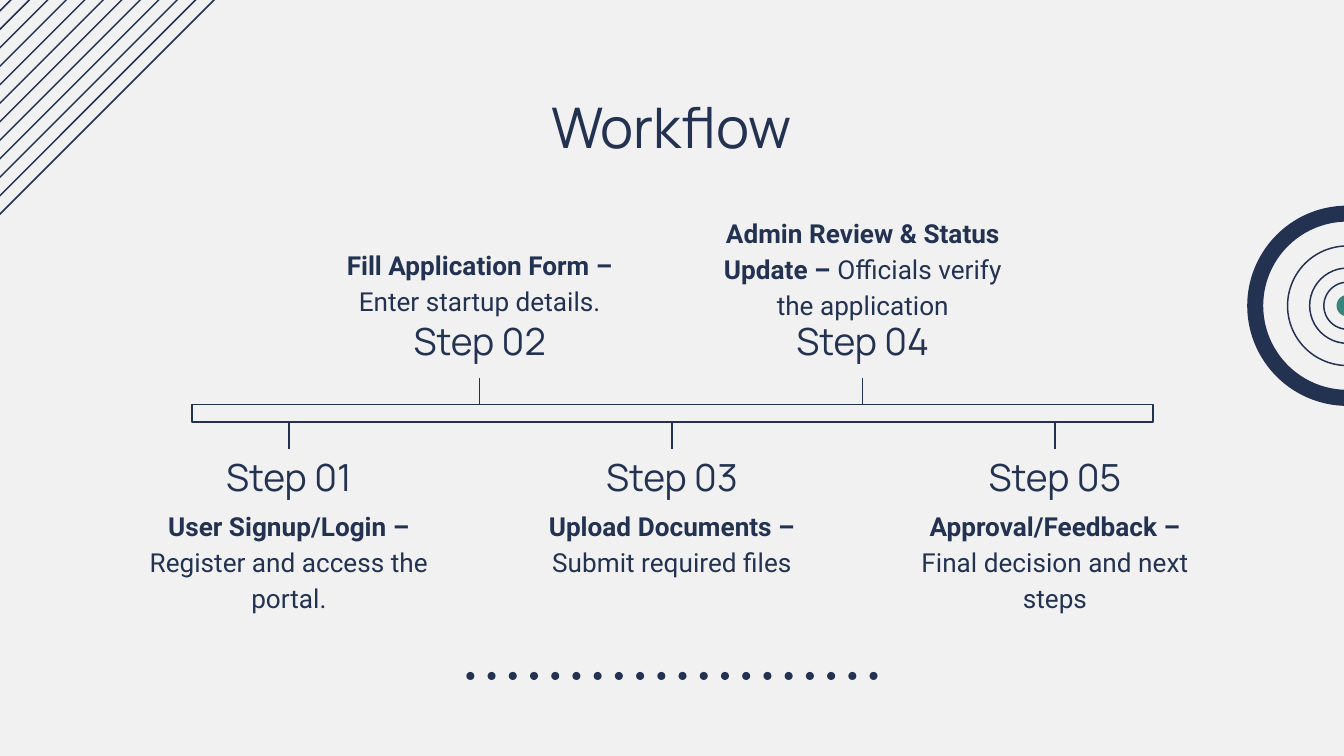
import pptx
import pptx.util
import pptx.dml.color
import pptx.enum.shapes
import pptx.enum.text
import pptx.oxml

PX = 9144  # 100 px to the inch
SLIDE_WIDTH = 1000
SLIDE_HEIGHT = SLIDE_WIDTH * 9 / 16
NAVY = pptx.dml.color.RGBColor(0x23, 0x32, 0x51)
TEAL = pptx.dml.color.RGBColor(0x36, 0x86, 0x7D)
PAPER = pptx.dml.color.RGBColor(0xF1, 0xF1, 0xF1)
SHAPE = pptx.enum.shapes.MSO_SHAPE
ANCHOR = pptx.enum.text.MSO_ANCHOR
CENTER = pptx.enum.text.PP_ALIGN.CENTER
HEADING_FONT = "Manrope"
BODY_FONT = "Roboto"

# centre, heading, bold lead, detail, is above the bar, detail top, width, height
STEPS = [
    (215, "Step 01", "User Signup/Login – ", "Register and access the portal.",
     False, 366, 234, 93),
    (357, "Step 02", "Fill Application Form – ", "Enter startup details.",
     True, 172, 234, 66),
    (500, "Step 03", "Upload Documents – ", "Submit required files",
     False, 366, 234, 66),
    (642, "Step 04", "Admin Review & Status Update – ",
     "Officials verify the application", True, 148, 252, 66),
    (785, "Step 05", "Approval/Feedback – ", "Final decision and next steps",
     False, 366, 234, 66),
]


def px(*lengths):
    return [pptx.util.Emu(round(length * PX)) for length in lengths]


def add_line(slide, x1, y1, x2, y2, weight=0.75):
    line = slide.shapes.add_connector(
        pptx.enum.shapes.MSO_CONNECTOR.STRAIGHT, *px(x1, y1, x2, y2))
    line.line.color.rgb = NAVY
    line.line.width = pptx.util.Pt(weight)
    line._element.spPr.append(pptx.oxml.parse_xml(
        '<a:effectLst xmlns:a='
        '"http://schemas.openxmlformats.org/drawingml/2006/main"/>'))


def add_preset(slide, kind, box, fill=None, weight=None):
    shape = slide.shapes.add_shape(kind, *px(*box))
    shape.shadow.inherit = False
    if fill is None:
        shape.fill.background()
    else:
        shape.fill.solid()
        shape.fill.fore_color.rgb = fill
    if weight is None:
        shape.line.fill.background()
    else:
        shape.line.color.rgb = NAVY
        shape.line.width = pptx.util.Pt(weight)
    return shape


def format_text(shape, anchor, font_name, size):
    """Apply the shared frame settings and return the only paragraph."""
    frame = shape.text_frame
    frame.word_wrap = True
    frame.auto_size = pptx.enum.text.MSO_AUTO_SIZE.NONE
    frame.vertical_anchor = anchor
    (frame.margin_left, frame.margin_top,
     frame.margin_right, frame.margin_bottom) = px(10, 10, 10, 10)
    paragraph = frame.paragraphs[0]
    paragraph.alignment = CENTER
    paragraph.font.name = font_name
    paragraph.font.size = pptx.util.Pt(size)
    paragraph.font.color.rgb = NAVY
    return paragraph


def add_corner_stripes(slide, left, top, size, count=12, gap=13.75):
    for index in range(count):
        x = left + index * gap
        add_line(slide, x, top + size, x + size, top, 0.78)


def add_dot_row(slide, left, top, width, count=20, diameter=6):
    step = (width - diameter) / (count - 1)
    for index in range(count):
        add_preset(slide, SHAPE.OVAL,
                   (left + index * step, top, diameter, diameter), NAVY)


def add_target(slide, left, top, size):
    def centred(diameter):
        inset = (size - diameter) / 2
        return left + inset, top + inset, diameter, diameter

    for diameter in (89, 56, 35):
        add_preset(slide, SHAPE.OVAL, centred(diameter), weight=0.78)
    add_preset(slide, SHAPE.OVAL, centred(16), TEAL)
    rim = add_preset(slide, SHAPE.DONUT, centred(size), NAVY)
    rim.adjustments[0] = 0.08


def place_title(slide, text, box):
    title = slide.shapes.title
    title.left, title.top, title.width, title.height = px(*box)
    title.text_frame.text = text
    format_text(title, ANCHOR.TOP, HEADING_FONT, 30)


def add_step(slide, bar_top, bar_bottom, step):
    centre, heading, lead, detail, above, detail_top, width, height = step
    heading_top = bar_top - 67 if above else bar_bottom + 21
    heading_box = slide.shapes.add_textbox(
        *px(centre - 117, heading_top, 234, 46))
    heading_box.text_frame.text = heading
    format_text(heading_box, ANCHOR.BOTTOM, HEADING_FONT, 20)

    detail_box = slide.shapes.add_textbox(
        *px(centre - width / 2, detail_top, width, height))
    paragraph = format_text(detail_box, ANCHOR.TOP, BODY_FONT, 14)
    paragraph.line_spacing = 1.15
    for text, bold in ((lead, True), (detail, False)):
        run = paragraph.add_run()
        run.text = text
        run.font.bold = bold

    edge, end = (bar_top, bar_top - 20) if above else (bar_bottom, bar_bottom + 20)
    add_line(slide, centre, end, centre, edge)


def add_timeline(slide, left, top, width, height):
    for step in STEPS:
        add_step(slide, top, top + height, step)
    add_preset(slide, SHAPE.RECTANGLE, (left, top, width, height), weight=0.75)


def main():
    presentation = pptx.Presentation()
    presentation.slide_width, presentation.slide_height = px(
        SLIDE_WIDTH, SLIDE_HEIGHT)
    slide = presentation.slides.add_slide(presentation.slide_layouts[5])
    slide.background.fill.solid()
    slide.background.fill.fore_color.rgb = PAPER
    add_corner_stripes(slide, -155, -55, 218)
    add_dot_row(slide, 347, 500, 306)
    add_target(slide, 928, 153, 149)
    place_title(slide, "Workflow", (95, 59, 809, 63))
    add_timeline(slide, 143, 301, 715, 13)
    presentation.save("out.pptx")


if __name__ == "__main__":
    main()
